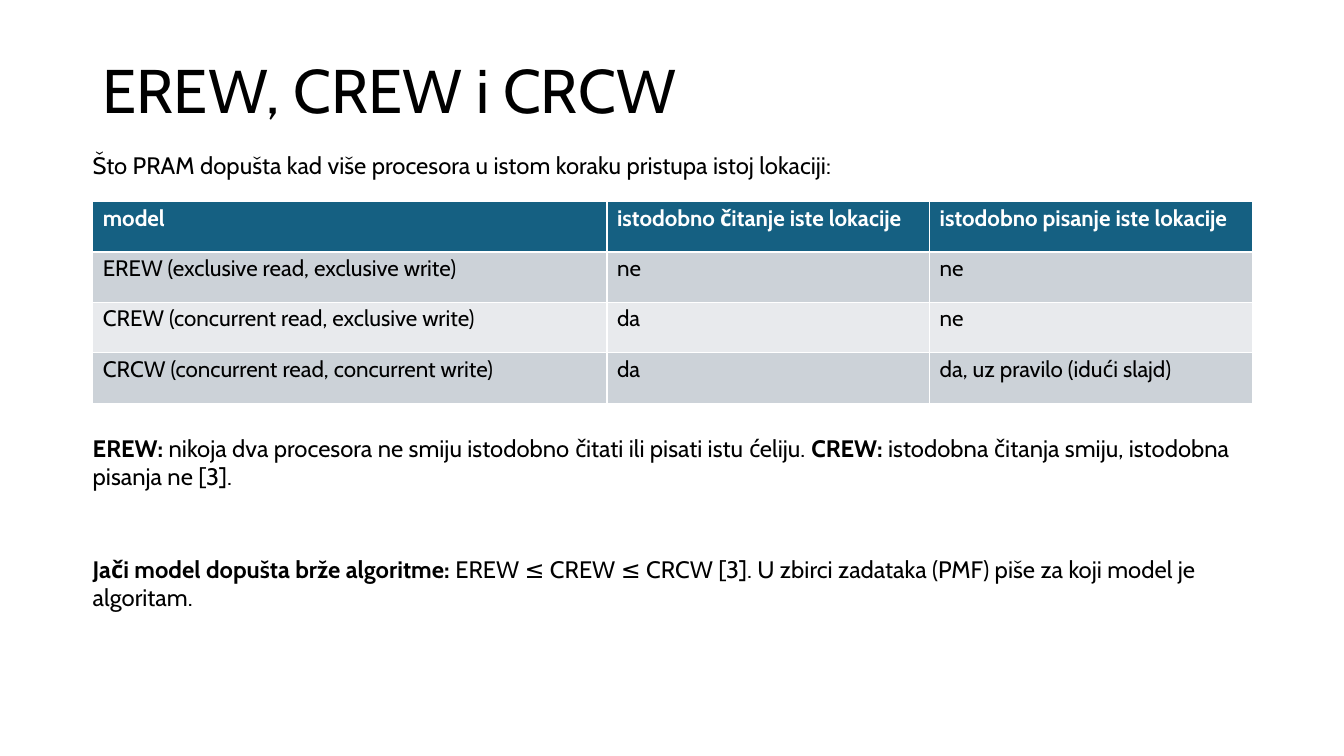
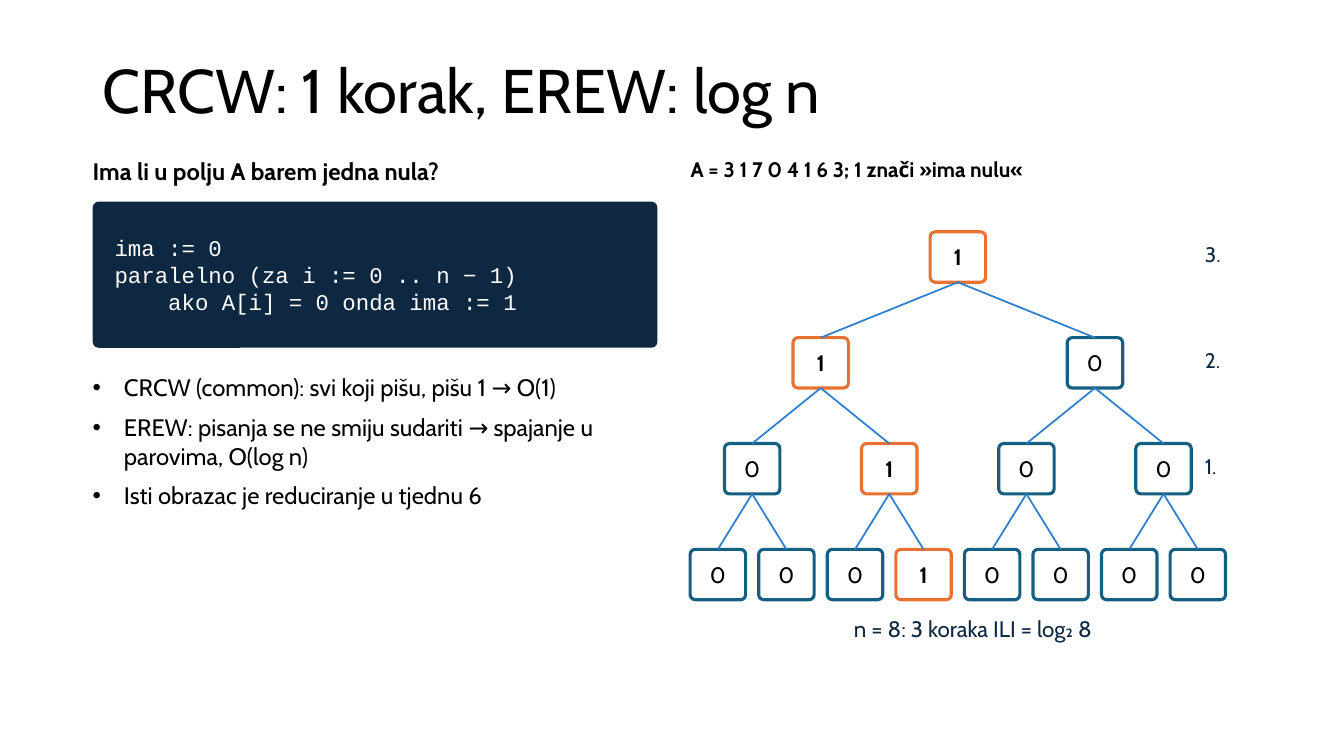
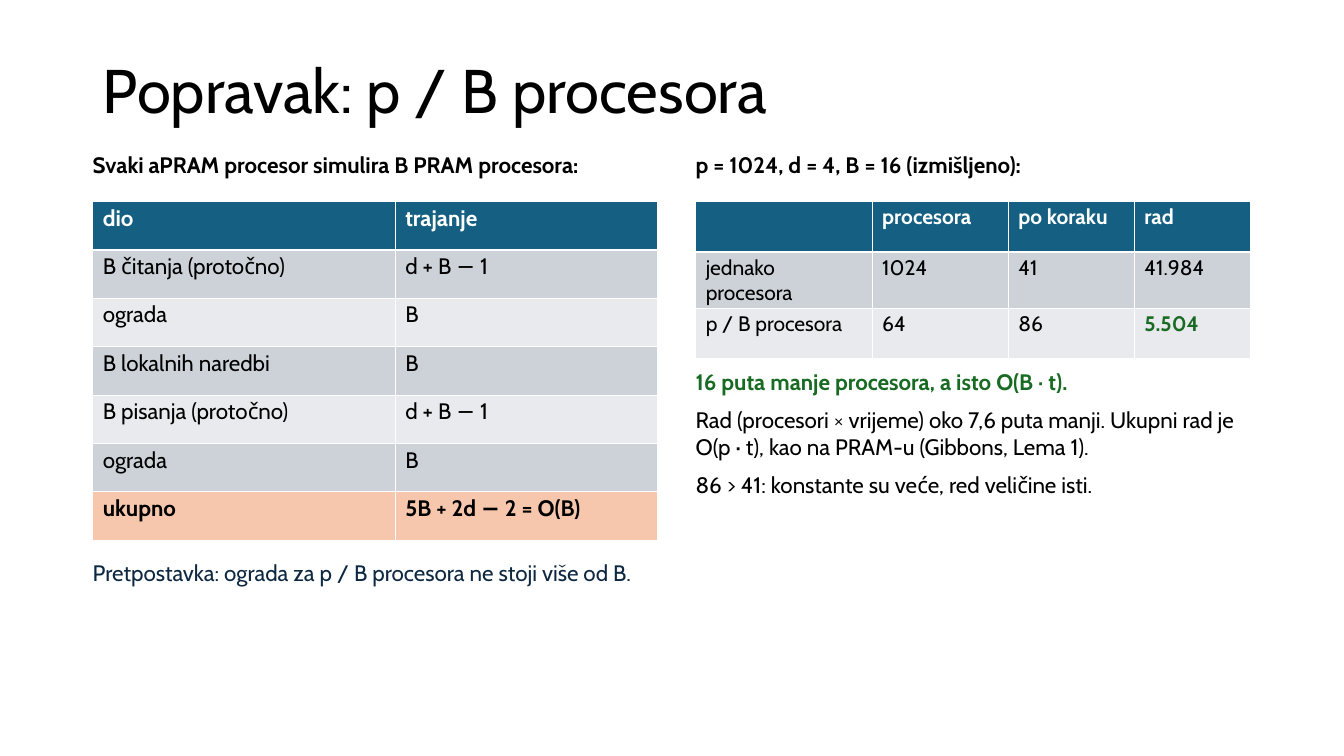
from dataclasses import dataclass

from lxml import etree
from pptx import Presentation
from pptx import util as u
from pptx.dml.color import RGBColor
from pptx.enum import shapes, text
from pptx.oxml.ns import qn


@dataclass(frozen=True)
class Theme:
    font: str = "Cabin"
    code_font: str = "Courier New"
    black: str = "000000"
    white: str = "FFFFFF"
    navy: str = "0E2841"
    teal: str = "156082"
    orange: str = "E97132"
    blue: str = "2D7FCF"
    green: str = "196B24"
    peach: str = "F6C6AD"
    bands: tuple = ("CCD2D8", "E8EAED")
    title_size: int = 44
    large: int = 17
    medium: int = 16
    small: int = 15


THEME = Theme()
LEFT, CONTENT_WIDTH, COLUMN_WIDTH = 0.92, 11.5, 5.6


def inches(*lengths):
    return [u.Inches(length) for length in lengths]


def rgb(color):
    return RGBColor.from_string(color)


def style_font(font, size, color=THEME.black, bold=False, name=THEME.font):
    font.name, font.size, font.bold = name, u.Pt(size), bold
    font.color.rgb = rgb(color)


def set_margins(target, left, top, right, bottom):
    target.margin_left, target.margin_top = inches(left, top)
    target.margin_right, target.margin_bottom = inches(right, bottom)


def add_bullet(para, indent=0.31):
    properties = para._p.get_or_add_pPr()
    properties.set("marL", str(u.Inches(indent)))
    properties.set("indent", str(u.Inches(-indent)))
    etree.SubElement(properties, qn("a:buFont"), typeface="Arial")
    etree.SubElement(properties, qn("a:buChar"), char="•")


def write(frame, lines, size, color=THEME.black, bold=False, name=THEME.font,
          align=text.PP_ALIGN.LEFT, after=None, bullets=False):
    """Fill a frame; a line given as a tuple alternates bold and plain spans."""
    for index, line in enumerate(lines):
        para = frame.add_paragraph() if index else frame.paragraphs[0]
        if bullets:
            add_bullet(para)
        para.alignment = align
        if after:
            para.space_after = u.Pt(after)
        style_font(para.font, size, color, bold, name)
        if isinstance(line, str):
            para.add_run().text = line
            continue
        for position, words in enumerate(line):
            span = para.add_run()
            span.text, span.font.bold = words, position % 2 == 0


def add_text(page, at, lines, size, **style):
    frame = page.shapes.add_textbox(*inches(*at)).text_frame
    frame.word_wrap = True
    frame.auto_size = text.MSO_AUTO_SIZE.SHAPE_TO_FIT_TEXT
    set_margins(frame, 0, 0, 0, 0)
    write(frame, lines, size, **style)
    return frame


def add_page(deck, title):
    page = deck.slides.add_slide(deck.slide_layouts[6])
    frame = page.shapes.add_textbox(*inches(LEFT, 0.4, CONTENT_WIDTH, 1.06)).text_frame
    frame.word_wrap = True
    frame.vertical_anchor = text.MSO_ANCHOR.MIDDLE
    write(frame, [title], THEME.title_size)
    frame.paragraphs[0].line_spacing = 0.9
    return page


def add_round_box(page, at, corner, fill, margins, line=None):
    box = page.shapes.add_shape(shapes.MSO_SHAPE.ROUNDED_RECTANGLE, *inches(*at))
    box.adjustments[0] = corner
    box.shadow.inherit = False
    box.fill.solid()
    box.fill.fore_color.rgb = rgb(fill)
    if line:
        box.line.color.rgb = rgb(line)
        box.line.width = u.Pt(2.25)
    else:
        box.line.fill.background()
    box.text_frame.vertical_anchor = text.MSO_ANCHOR.MIDDLE
    set_margins(box.text_frame, *margins)
    return box


def add_table(page, left, widths, row_height, rows, header_size=THEME.medium, total=False):
    height = row_height * len(rows)
    frame = page.shapes.add_table(len(rows), len(widths),
                                  *inches(left, 2, sum(widths), height))
    table = frame.table
    for column, width in zip(table.columns, widths):
        column.width = u.Inches(width)
    for r, row in enumerate(rows):
        table.rows[r].height = u.Inches(row_height)
        header, closing = r == 0, total and r == len(rows) - 1
        fill = THEME.teal if header else THEME.peach if closing else THEME.bands[(r - 1) % 2]
        for c, words in enumerate(row):
            cell = table.cell(r, c)
            cell.fill.solid()
            cell.fill.fore_color.rgb = rgb(fill)
            set_margins(cell, 0.1, 0.03, 0.1, 0.03)
            if words:
                write(cell.text_frame, [words], header_size,
                      color=THEME.white if header else THEME.black, bold=header or closing)
    return table


def add_node(page, center, top, value):
    width, height = 0.55, 0.5
    box = add_round_box(page, (center - width / 2, top, width, height), 0.1, THEME.white,
                        (0.03, 0.05, 0.03, 0.05), THEME.orange if value else THEME.teal)
    write(box.text_frame, [str(value)], THEME.medium, bold=bool(value),
          align=text.PP_ALIGN.CENTER)
    return box


def add_edge(page, child, parent):
    edge = page.shapes.add_connector(shapes.MSO_CONNECTOR.STRAIGHT, 0, 0, 0, 0)
    edge.begin_connect(child, 0)
    edge.end_connect(parent, 2)
    edge.line.color.rgb = rgb(THEME.blue)
    edge.line.width = u.Pt(1.25)
    etree.SubElement(edge._element.spPr, qn("a:effectLst"))


def add_or_tree(page, numbers, left=7.12, pitch=0.68, bottom=5.45, rise=1.05):
    """Draw the pairwise OR of "is zero", from the leaves up, with step labels."""
    level = []
    for index, number in enumerate(numbers):
        center, value = left + index * pitch, int(number == 0)
        level.append((center, value, add_node(page, center, bottom, value)))
    step = 0
    while len(level) > 1:
        step += 1
        top = bottom - step * rise
        parents = []
        for first, second in zip(level[::2], level[1::2]):
            center, value = (first[0] + second[0]) / 2, first[1] | second[1]
            node = add_node(page, center, top, value)
            for child in (first, second):
                add_edge(page, child[2], node)
            parents.append((center, value, node))
        add_text(page, (11.95, top + 0.1, 0.6, 0.4), [f"{step}."], THEME.small,
                 color=THEME.navy)
        level = parents


def build_models(deck):
    page = add_page(deck, "EREW, CREW i CRCW")
    add_text(page, (LEFT, 1.5, CONTENT_WIDTH, 0.4),
             ["Što PRAM dopušta kad više procesora u istom koraku pristupa istoj lokaciji:"],
             THEME.large)
    add_table(page, LEFT, (5.1, 3.2, 3.2), 0.5, [
        ("model", "istodobno čitanje iste lokacije", "istodobno pisanje iste lokacije"),
        ("EREW (exclusive read, exclusive write)", "ne", "ne"),
        ("CREW (concurrent read, exclusive write)", "da", "ne"),
        ("CRCW (concurrent read, concurrent write)", "da", "da, uz pravilo (idući slajd)"),
    ])
    notes = [
        ("EREW: ", "nikoja dva procesora ne smiju istodobno čitati ili pisati istu ćeliju. ",
         "CREW: ", "istodobna čitanja smiju, istodobna pisanja ne [3]."),
        ("Jači model dopušta brže algoritme: ",
         "EREW ≤ CREW ≤ CRCW [3]. U zbirci zadataka (PMF) piše za koji model je algoritam."),
    ]
    for index, note in enumerate(notes):
        add_text(page, (LEFT, 4.3 + 1.2 * index, CONTENT_WIDTH, 0.9), [note], THEME.large)


def build_steps(deck):
    right = 6.85
    page = add_page(deck, "CRCW: 1 korak, EREW: log n")
    add_text(page, (LEFT, 1.55, COLUMN_WIDTH, 0.4), ["Ima li u polju A barem jedna nula?"],
             THEME.large, bold=True)
    code = add_round_box(page, (LEFT, 2, COLUMN_WIDTH, 1.45), 0.04, THEME.navy,
                         (0.2, 0.05, 0.1, 0.05))
    write(code.text_frame, [
        "ima := 0",
        "paralelno (za i := 0 .. n − 1)",
        "    ako A[i] = 0 onda ima := 1",
    ], THEME.medium, color=THEME.white, name=THEME.code_font)
    add_text(page, (LEFT, 3.7, COLUMN_WIDTH, 2.9), [
        "CRCW (common): svi koji pišu, pišu 1 → O(1)",
        "EREW: pisanja se ne smiju sudariti → spajanje u parovima, O(log n)",
        "Isti obrazac je reduciranje u tjednu 6",
    ], THEME.large, after=8, bullets=True)
    add_text(page, (right, 1.55, COLUMN_WIDTH, 0.4),
             ["A = 3 1 7 0 4 1 6 3; 1 znači »ima nulu«"], THEME.small, bold=True)
    add_or_tree(page, (3, 1, 7, 0, 4, 1, 6, 3))
    add_text(page, (right, 6.1, COLUMN_WIDTH, 0.6), ["n = 8: 3 koraka ILI = log₂ 8"],
             THEME.medium, color=THEME.navy, align=text.PP_ALIGN.CENTER)


def build_correction(deck):
    right, right_width = 6.9, 5.5
    page = add_page(deck, "Popravak: p / B procesora")
    add_text(page, (LEFT, 1.5, COLUMN_WIDTH, 0.5),
             ["Svaki aPRAM procesor simulira B PRAM procesora:"], THEME.medium, bold=True)
    add_table(page, LEFT, (3, 2.6), 0.48, [
        ("dio", "trajanje"),
        ("B čitanja (protočno)", "d + B − 1"),
        ("ograda", "B"),
        ("B lokalnih naredbi", "B"),
        ("B pisanja (protočno)", "d + B − 1"),
        ("ograda", "B"),
        ("ukupno", "5B + 2d − 2 = O(B)"),
    ], total=True)
    add_text(page, (right, 1.5, right_width, 0.5), ["p = 1024, d = 4, B = 16 (izmišljeno):"],
             THEME.medium, bold=True)
    work = add_table(page, right, (1.75, 1.35, 1.25, 1.15), 0.5, [
        ("", "procesora", "po koraku", "rad"),
        ("jednako procesora", "1024", "41", "41.984"),
        ("p / B procesora", "64", "86", "5.504"),
    ], THEME.small)
    best = work.cell(2, 3).text_frame.paragraphs[0]
    style_font(best.font, THEME.small, THEME.green, bold=True)
    findings = add_text(page, (right, 3.65, right_width, 3), [
        "16 puta manje procesora, a isto O(B · t).",
        "Rad (procesori × vrijeme) oko 7,6 puta manji. "
        "Ukupni rad je O(p · t), kao na PRAM-u (Gibbons, Lema 1).",
        "86 > 41: konstante su veće, red veličine isti.",
    ], THEME.medium, after=8)
    style_font(findings.paragraphs[0].font, THEME.medium, THEME.green, bold=True)
    add_text(page, (LEFT, 5.55, COLUMN_WIDTH, 1.1),
             ["Pretpostavka: ograda za p / B procesora ne stoji više od B."],
             THEME.medium, color=THEME.navy)


def main():
    deck = Presentation()
    deck.slide_width, deck.slide_height = inches(13.33, 7.5)
    build_models(deck)
    build_steps(deck)
    build_correction(deck)
    deck.save("out.pptx")


if __name__ == "__main__":
    main()
